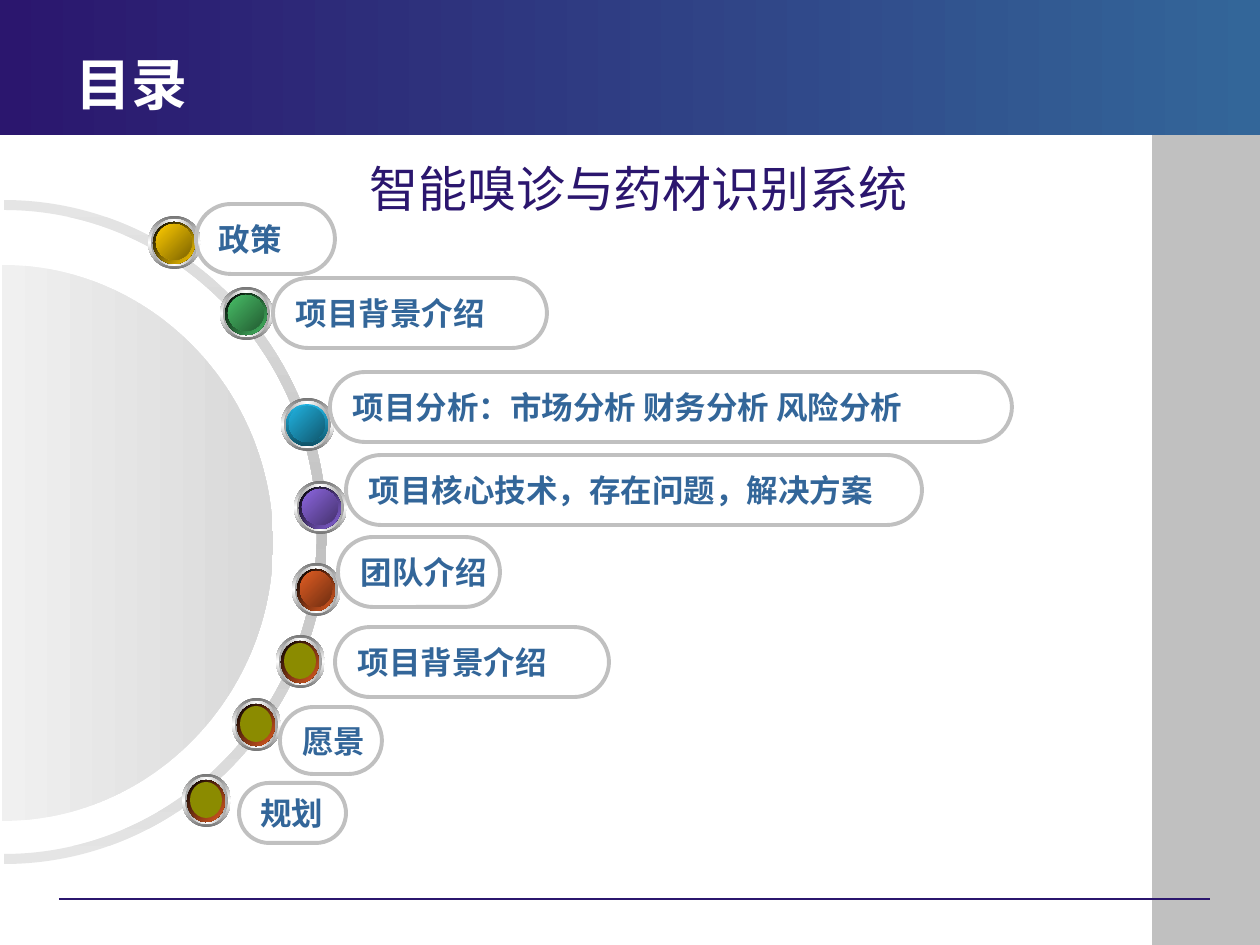
"""Build the agenda slide: a half dial whose coloured dots lead to topic pills."""
import dataclasses
import typing

import lxml.etree
import pptx
import pptx.dml.color
import pptx.enum.shapes
import pptx.enum.text
import pptx.oxml.ns
import pptx.util

PIXEL = 914400 / 126
CURVE = 0.55
SHAPES = pptx.enum.shapes.MSO_SHAPE
ANCHOR = pptx.enum.text.MSO_ANCHOR
ALIGN = pptx.enum.text.PP_ALIGN
AUTO_SIZE = pptx.enum.text.MSO_AUTO_SIZE
qualified = pptx.oxml.ns.qn

COLORS = {
    "navy": "2B166E", "steel": "336699", "silver": "C0C0C0", "white": "FFFFFF",
    "black": "000000", "pale": "E5E5E5", "disc_light": "F0F0F0", "disc_dark": "D8D8D8",
    "bezel": "767676", "bevel": "A2A2A2", "olive": "8B8B00",
    "gold": "FFCC00", "gold_dark": "7C6300", "green": "48BE67", "green_dark": "235C32",
    "blue": "21B3E1", "blue_rim": "0F5368", "blue_dark": "10576D",
    "violet": "8D67E1", "violet_dark": "45326D", "orange": "E35E23", "orange_dark": "6E2E11",
}
BEZEL = ("bezel", "white", "bezel")
BEVEL = ("bevel", "white", "bevel")


@dataclasses.dataclass(frozen=True)
class Dot:
    left: int
    top: int
    width: int
    rim: tuple[str, ...]
    face: tuple[str, ...]
    rim_angle: int = 45


@dataclasses.dataclass(frozen=True)
class Pill:
    text: str
    left: int
    top: int
    width: int
    height: int = 70


@dataclasses.dataclass(frozen=True)
class HalfDisc:
    center_x: int
    center_y: int
    radius_x: int
    radius_y: int

    def points(self) -> list[tuple[int, int]]:
        units = [(0, -1), (CURVE, -1), (1, -CURVE), (1, 0), (1, CURVE), (CURVE, 1), (0, 1)]
        return [(emu(self.center_x + self.radius_x * x),
                 emu(self.center_y + self.radius_y * y)) for x, y in units]


ORANGE_RIM = ("black", "orange")
DOTS = [
    Dot(148, 216, 53, ("black", "gold"), ("gold", "gold_dark")),
    Dot(220, 287, 53, ("black", "green"), ("green", "green_dark")),
    Dot(281, 398, 53, ("blue", "blue_rim"), ("blue", "blue_dark"), 90),
    Dot(294, 481, 53, ("black", "violet"), ("violet", "violet_dark")),
    Dot(292, 563, 49, ORANGE_RIM, ("orange", "orange_dark")),
    Dot(276, 635, 49, ORANGE_RIM, ("olive",)),
    Dot(232, 698, 49, ORANGE_RIM, ("olive",)),
    Dot(182, 774, 49, ORANGE_RIM, ("olive",)),
]
PILLS = [
    Pill("政策", 196, 204, 139),
    Pill("项目背景介绍", 273, 278, 274),
    Pill("项目分析：市场分析 财务分析 风险分析", 330, 372, 682),
    Pill("项目核心技术，存在问题，解决方案", 346, 455, 576),
    Pill("团队介绍", 338, 537, 162),
    Pill("项目背景介绍", 335, 627, 274),
    Pill("愿景", 280, 707, 102, 67),
    Pill("规划", 239, 783, 107, 60),
]
RING_OUTER = HalfDisc(4, 532, 323, 332)
RING_INNER = HalfDisc(4, 532, 313, 322)
DISC = HalfDisc(2, 543, 271, 278)


def emu(pixels: float) -> int:
    return round(pixels * PIXEL)


def rgb(name: str) -> pptx.dml.color.RGBColor:
    return pptx.dml.color.RGBColor.from_string(COLORS[name])


def apply(target: typing.Any, values: dict[str, typing.Any]) -> None:
    for name, value in values.items():
        setattr(target, name, value)


def paint(shape: typing.Any, colors: tuple[str, ...], angle: int = 0) -> None:
    shape.shadow.inherit = False
    shape.line.fill.background()
    if len(colors) == 1:
        shape.fill.solid()
        shape.fill.fore_color.rgb = rgb(colors[0])
        return
    shape.fill.gradient()
    shape.fill.gradient_angle = -angle % 360
    stops = shape._element.spPr.find(".//" + qualified("a:gsLst"))
    for stop in list(stops):
        stops.remove(stop)
    for index, color in enumerate(colors):
        position = str(100000 * index // (len(colors) - 1))
        stop = lxml.etree.SubElement(stops, qualified("a:gs"), pos=position)
        lxml.etree.SubElement(stop, qualified("a:srgbClr"), val=COLORS[color])


def add_painted(shapes: typing.Any, kind: typing.Any, box: tuple[int, int, int, int],
                colors: tuple[str, ...], angle: int = 0) -> None:
    paint(shapes.add_shape(kind, *map(emu, box)), colors, angle)


def add_curved(shapes: typing.Any, points: list[tuple[int, int]], curve_starts: list[int],
               colors: tuple[str, ...], angle: int) -> None:
    builder = shapes.build_freeform(*points[0])
    builder.add_line_segments(points[1:], close=True)
    shape = builder.convert_to_shape()
    segments = list(shape._element.spPr.iter(qualified("a:lnTo")))
    for start in curve_starts:
        curve = lxml.etree.Element(qualified("a:cubicBezTo"))
        segments[start].addprevious(curve)
        for segment in segments[start:start + 3]:
            curve.append(segment[0])
            segment.getparent().remove(segment)
    paint(shape, colors, angle)


def add_dot(shapes: typing.Any, dot: Dot) -> None:
    group = shapes.add_group_shape()
    layers = [(0, 0, 0, BEZEL, 90), (3, 3, 6, BEVEL, 0),
              (5, 6, 11, dot.rim, dot.rim_angle), (8, 8, 17, dot.face, 45)]
    for shift_x, shift_y, shrink, colors, angle in layers:
        box = (dot.left + shift_x, dot.top + shift_y, dot.width - shrink, 53 - shrink)
        add_painted(group.shapes, SHAPES.OVAL, box, colors, angle)


def write(shape: typing.Any, text: str, frame_values: dict[str, typing.Any],
          font_values: dict[str, typing.Any], color: str) -> None:
    apply(shape.text_frame, frame_values)
    paragraph = shape.text_frame.paragraphs[0]
    paragraph.alignment = ALIGN.LEFT
    run = paragraph.add_run()
    run.text = text
    apply(run.font, font_values)
    run.font.color.rgb = rgb(color)


def add_pill(shapes: typing.Any, pill: Pill) -> None:
    shape = shapes.add_shape(SHAPES.ROUNDED_RECTANGLE,
                             *map(emu, (pill.left, pill.top, pill.width, pill.height)))
    shape.adjustments[0] = 0.5
    shape.shadow.inherit = False
    shape.fill.background()
    shape.line.color.rgb = rgb("silver")
    shape.line.width = pptx.util.Pt(2.25)
    write(shape, pill.text, {"word_wrap": False, "vertical_anchor": ANCHOR.MIDDLE},
          {"name": "Arial", "size": pptx.util.Pt(18), "bold": True}, "steel")


def add_rule(shapes: typing.Any) -> None:
    rule = shapes.add_connector(pptx.enum.shapes.MSO_CONNECTOR.STRAIGHT,
                                *map(emu, (59, 899, 1210, 899)))
    rule.line.color.rgb = rgb("navy")
    rule.line.width = pptx.util.Pt(0.75)
    lxml.etree.SubElement(rule._element.spPr, qualified("a:effectLst"))


def main() -> None:
    presentation = pptx.Presentation()
    apply(presentation, {"slide_width": emu(1260), "slide_height": emu(945)})
    slide = presentation.slides.add_slide(presentation.slide_layouts[5])
    shapes = slide.shapes
    add_painted(shapes, SHAPES.RECTANGLE, (1152, 135, 108, 810), ("silver",))
    add_rule(shapes)
    add_painted(shapes, SHAPES.RECTANGLE, (0, 0, 1260, 135), ("navy", "steel"))
    add_curved(shapes, RING_OUTER.points() + RING_INNER.points()[::-1], [0, 3, 7, 10],
               ("pale", "silver", "pale"), 90)
    add_curved(shapes, DISC.points(), [0, 3], ("disc_light", "disc_dark"), 0)
    for dot in DOTS:
        add_dot(shapes, dot)

    title = shapes.title
    shapes._spTree.append(title._element)
    apply(title, {"left": emu(63), "top": emu(44), "width": emu(850), "height": emu(78)})
    write(title, "目录", {"vertical_anchor": ANCHOR.MIDDLE, "auto_size": AUTO_SIZE.NONE},
          {"name": "DejaVu Sans", "size": pptx.util.Pt(32), "bold": True}, "white")

    for pill in PILLS:
        add_pill(shapes, pill)
    heading = shapes.add_textbox(*map(emu, (357, 152, 564, 72)))
    write(heading, "智能嗅诊与药材识别系统",
          {"word_wrap": True, "auto_size": AUTO_SIZE.SHAPE_TO_FIT_TEXT},
          {"name": "Arial", "size": pptx.util.Pt(28)}, "navy")
    presentation.save("out.pptx")


if __name__ == "__main__":
    main()
